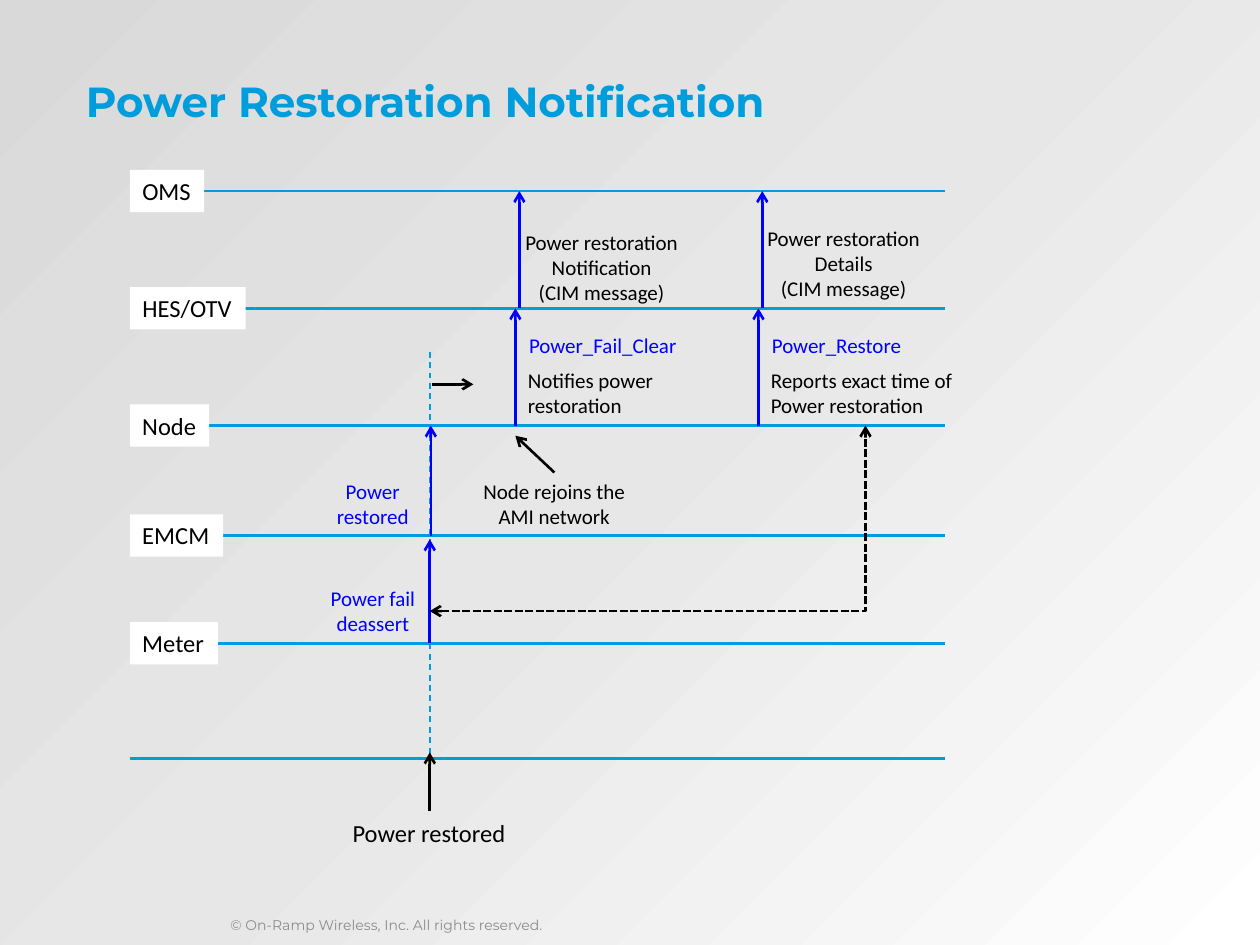
"""Build the power restoration notification sequence slide."""
from copy import deepcopy
from typing import NamedTuple, Optional

from pptx import Presentation
from pptx.dml.color import RGBColor
from pptx.enum.dml import MSO_LINE
from pptx.enum.shapes import MSO_CONNECTOR, MSO_SHAPE
from pptx.enum.text import MSO_ANCHOR, MSO_AUTO_SIZE, PP_ALIGN
from pptx.oxml.ns import qn
from pptx.util import Pt
from lxml import etree

STRAIGHT, ELBOW = MSO_CONNECTOR.STRAIGHT, MSO_CONNECTOR.ELBOW
RECTANGLE = MSO_SHAPE.RECTANGLE
DASH, SHORT_DASH = MSO_LINE.DASH, MSO_LINE.SQUARE_DOT
LEFT, CENTER = PP_ALIGN.LEFT, PP_ALIGN.CENTER
TOP, BOTTOM = MSO_ANCHOR.TOP, MSO_ANCHOR.BOTTOM
FIT_SHAPE, NO_FIT = MSO_AUTO_SIZE.SHAPE_TO_FIT_TEXT, MSO_AUTO_SIZE.NONE
TITLE_ONLY = 5

COLORS = {"sky": "009DDC", "blue": "0000FF", "black": "000000",
          "white": "FFFFFF", "gray": "8C8C8C"}
GRADIENT = [(0, "D9D9D9"), (0.5, "E6E7E6"), (1, "FFFFFF")]
LANE_LEFT, LANE_RIGHT = 74.2, 540
LABEL_HEIGHT = 24.2
EVENT_X = 245.6


class Lane(NamedTuple):
    name: str
    y: float
    label_width: float


class Arrow(NamedTuple):
    x1: float
    y1: float
    x2: float
    y2: float
    color: str


class Note(NamedTuple):
    text: str
    left: float
    top: float
    width: float
    height: float
    color: str = "black"
    align: PP_ALIGN = CENTER
    size: float = 12
    wrap: bool = False


OMS = Lane("OMS", 109.2, 42.5)
HES = Lane("HES/OTV", 176.2, 66.2)
NODE = Lane("Node", 243.2, 45.4)
EMCM = Lane("EMCM", 306, 53.3)
METER = Lane("Meter", 367.6, 50.4)
SUPPLY = Lane("", 433.6, 0)
LANES = [SUPPLY, METER, EMCM, NODE, HES, OMS]

ARROWS = [
    Arrow(EVENT_X, 463.7, EVENT_X, 430, "black"),
    Arrow(EVENT_X, METER.y, EVENT_X, 308.2, "blue"),
    Arrow(246.2, EMCM.y, 246.2, NODE.y, "blue"),
    Arrow(247, 219.6, 270.5, 219.6, "black"),
    Arrow(316.8, 270, 294.5, 249, "black"),
    Arrow(294.5, NODE.y, 294.5, HES.y, "blue"),
    Arrow(433.4, NODE.y, 433.4, HES.y, "blue"),
    Arrow(296.8, HES.y, 296.8, OMS.y, "blue"),
    Arrow(435.6, HES.y, 435.6, OMS.y, "blue"),
]

NOTES = [
    Note("Power restored", 194.4, 463.7, 103, 24.2, align=LEFT, size=14),
    Note("Power fail\ndeassert", 181.4, 331.2, 63.4, 36, "blue"),
    Note("Power\nrestored", 185, 270, 56, 36, "blue"),
    Note("Node rejoins the\nAMI network", 267, 270, 99.4, 36, wrap=True),
    Note("Power_Fail_Clear", 294.5, 186.5, 100, 21.6, "blue"),
    Note("Power_Restore", 433.4, 186.5, 89.3, 21.6, "blue"),
    Note("Notifies power\nrestoration", 294.5, 206.6, 87, 36, align=LEFT),
    Note("Reports exact time of\nPower restoration", 433.4, 206.6, 122.4, 36, align=LEFT),
    Note("Power restoration\nNotification\n(CIM message)", 292.3, 127.4, 103, 51),
    Note("Power restoration\nDetails\n(CIM message)", 430.6, 125.3, 103, 51),
]


def rgb(name: str) -> RGBColor:
    """Return the named colour."""
    return RGBColor.from_string(COLORS[name])


def write_text(box, text: str, *, size: float, color: str, font: str = "Calibri",
               align: PP_ALIGN = LEFT, anchor: MSO_ANCHOR = TOP, bold: bool = False,
               wrap: bool = False, fit: MSO_AUTO_SIZE = FIT_SHAPE) -> None:
    """Fill a shape with formatted paragraphs, one for each line of text."""
    frame = box.text_frame
    frame.text = text
    frame.word_wrap, frame.auto_size, frame.vertical_anchor = wrap, fit, anchor
    for para in frame.paragraphs:
        para.alignment = align
        for span in para.runs:
            span.font.name, span.font.size, span.font.bold = font, Pt(size), bold
            span.font.color.rgb = rgb(color)


def draw_line(page, x1: float, y1: float, x2: float, y2: float, color: str, *,
              width: float = 1.5, dash: Optional[MSO_LINE] = None,
              ends: tuple = (), kind: MSO_CONNECTOR = STRAIGHT):
    """Draw a connector with optional dashes and arrowheads."""
    line = page.shapes.add_connector(kind, Pt(x1), Pt(y1), Pt(x2), Pt(y2))
    line.line.color.rgb, line.line.width = rgb(color), Pt(width)
    if dash is not None:
        line.line.dash_style = dash
    properties = line._element.spPr
    for end in ends:
        etree.SubElement(properties.find(qn("a:ln")), qn(f"a:{end}"), type="arrow")
    etree.SubElement(properties, qn("a:effectLst"))
    return line


def draw_lane(page, lane: Lane) -> None:
    """Draw a horizontal lane and its label."""
    draw_line(page, LANE_LEFT, lane.y, LANE_RIGHT, lane.y, "sky")
    if not lane.name:
        return
    label = page.shapes.add_shape(RECTANGLE, Pt(LANE_LEFT), Pt(lane.y - LABEL_HEIGHT / 2),
                                  Pt(lane.label_width), Pt(LABEL_HEIGHT))
    label.shadow.inherit = False
    label.fill.solid()
    label.fill.fore_color.rgb = rgb("white")
    label.line.fill.background()
    write_text(label, lane.name, size=14, color="black")


def draw_note(page, note: Note) -> None:
    """Place a text note on the diagram."""
    box = page.shapes.add_textbox(Pt(note.left), Pt(note.top), Pt(note.width), Pt(note.height))
    write_text(box, note.text, size=note.size, color=note.color,
               align=note.align, wrap=note.wrap)


def paint_background(page) -> None:
    """Give the page its diagonal gray gradient."""
    fill = page.background.fill
    fill.gradient()
    fill.gradient_angle = 315
    stop_list = page._element.find(".//" + qn("a:gsLst"))
    stop_list.append(deepcopy(stop_list[0]))
    for stop, (position, color) in zip(fill.gradient_stops, GRADIENT):
        stop.position = position
        stop.color.rgb = RGBColor.from_string(color)


def draw_title(page) -> None:
    """Place the title in its placeholder."""
    title = page.shapes.title
    title.left, title.top, title.width, title.height = Pt(49), Pt(36), Pt(626.4), Pt(35.3)
    write_text(title, "Power Restoration Notification", size=24, color="sky",
               font="Montserrat", bold=True, wrap=True, fit=NO_FIT)
    frame = title.text_frame
    frame.margin_left = 0
    frame.margin_top = frame.margin_right = frame.margin_bottom = Pt(7.2)


def main() -> None:
    """Build and save the deck."""
    deck = Presentation()
    deck.slide_width, deck.slide_height = Pt(720), Pt(540)
    page = deck.slides.add_slide(deck.slide_layouts[TITLE_ONLY])
    paint_background(page)
    draw_title(page)
    draw_line(page, EVENT_X, 201, EVENT_X, 461, "sky", width=0.85, dash=DASH)
    for lane in LANES:
        draw_lane(page, lane)
    for arrow in ARROWS:
        draw_line(page, *arrow, ends=("tailEnd",))
    feedback = draw_line(page, EVENT_X, 349.2, 494.6, NODE.y, "black", dash=SHORT_DASH,
                         ends=("headEnd", "tailEnd"), kind=ELBOW)
    feedback._element.spPr.find(qn("a:prstGeom")).set("prst", "bentConnector2")
    for note in NOTES:
        draw_note(page, note)
    footer = page.shapes.add_textbox(Pt(124.6), Pt(517.7), Pt(239), Pt(19.4))
    write_text(footer, "© On-Ramp Wireless, Inc. All rights reserved.", size=8, color="gray",
               font="Montserrat", anchor=BOTTOM, wrap=True, fit=NO_FIT)
    deck.save("out.pptx")


if __name__ == "__main__":
    main()
